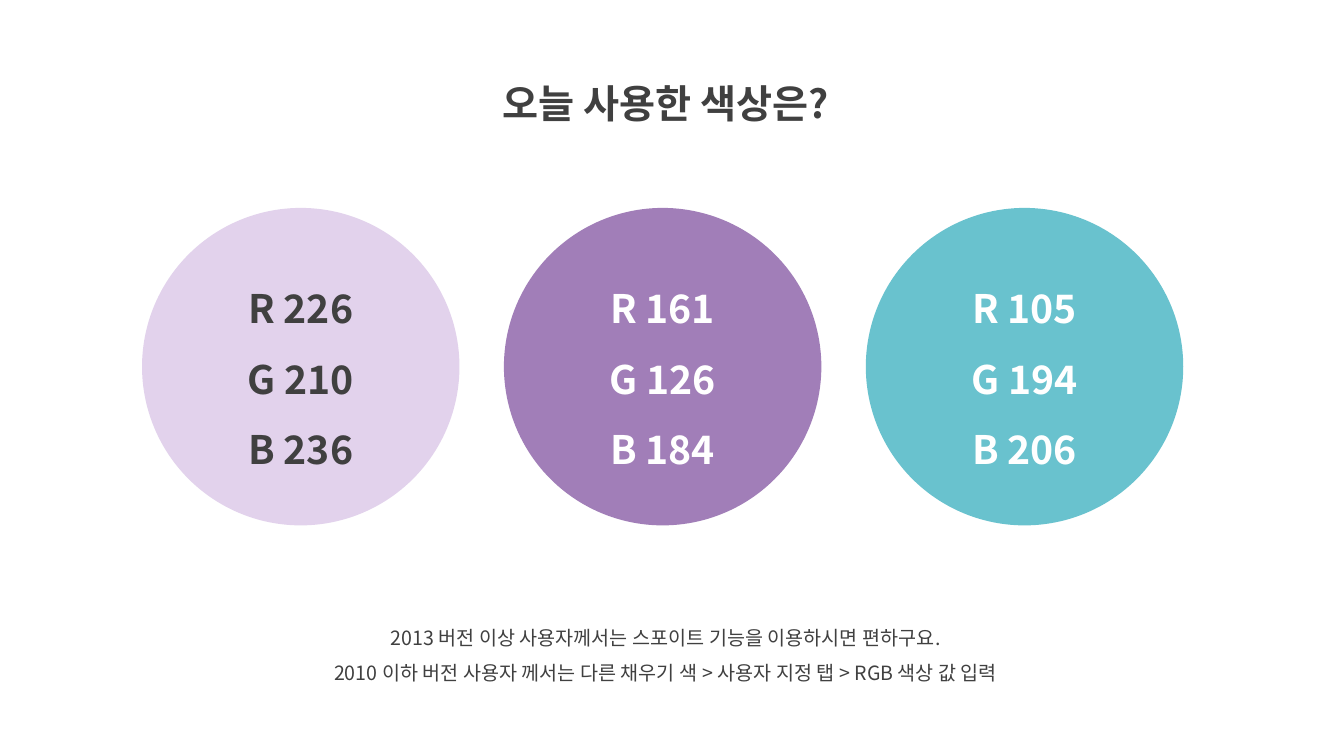
from lxml.etree import SubElement
from pptx import Presentation
from pptx.dml.color import RGBColor
from pptx.enum.shapes import MSO_SHAPE
from pptx.enum.text import MSO_ANCHOR, PP_ALIGN
from pptx.oxml.ns import qn
from pptx.util import Cm, Pt

FONT = "Noto Sans CJK KR"
DARK = "404040"
WHITE = "FFFFFF"
SWATCHES = [("E2D2EC", DARK), ("A17EB8", WHITE), ("69C2CE", WHITE)]
NOTES = [
    "2013 버전 이상 사용자께서는 스포이트 기능을 이용하시면 편하구요.",
    "2010 이하 버전 사용자 께서는 다른 채우기 색 > 사용자 지정 탭 > RGB 색상 값 입력",
]


def color(value):
    return RGBColor.from_string(value)


def write(frame, lines, size=28, ink=DARK, bold=False, anchor=MSO_ANCHOR.TOP):
    frame.word_wrap = True
    frame.vertical_anchor = anchor
    for index, line in enumerate(lines):
        para = frame.add_paragraph() if index else frame.paragraphs[0]
        para.alignment = PP_ALIGN.CENTER
        para.line_spacing = 1.5
        span = para.add_run()
        span.text = line
        span.font.size = Pt(size)
        span.font.bold = bold
        span.font.color.rgb = color(ink)
        span.font.name = FONT
        SubElement(span.font._element, qn("a:ea"), typeface=FONT)


def add_text(page, left, top, width, height, lines, **style):
    box = page.shapes.add_textbox(Cm(left), Cm(top), Cm(width), Cm(height))
    write(box.text_frame, lines, **style)


def add_swatch(page, left, top, size, fill, ink):
    circle = page.shapes.add_shape(MSO_SHAPE.OVAL, Cm(left), Cm(top), Cm(size), Cm(size))
    circle.shadow.inherit = False
    circle.fill.solid()
    circle.fill.fore_color.rgb = color(fill)
    circle.line.fill.background()
    lines = [f"{letter} {value}" for letter, value in zip("RGB", color(fill))]
    write(circle.text_frame, lines, ink=ink, bold=True, anchor=MSO_ANCHOR.MIDDLE)


def add_swatch_row(page, left, top, width, size):
    pitch = (width - size) / (len(SWATCHES) - 1)
    for index, (fill, ink) in enumerate(SWATCHES):
        add_swatch(page, left + index * pitch, top, size, fill, ink)


def main():
    deck = Presentation()
    deck.slide_width = Cm(33.87)
    deck.slide_height = Cm(19.05)
    page = deck.slides.add_slide(deck.slide_layouts[6])
    add_text(page, 10.9, 1.27, 11.76, 1.83, ["오늘 사용한 색상은?"], bold=True)
    add_swatch_row(page, 3.58, 5.24, 26.24, 8)
    add_text(page, 6.63, 15.34, 20.29, 2.06, NOTES, size=14)
    deck.save("out.pptx")


if __name__ == "__main__":
    main()
